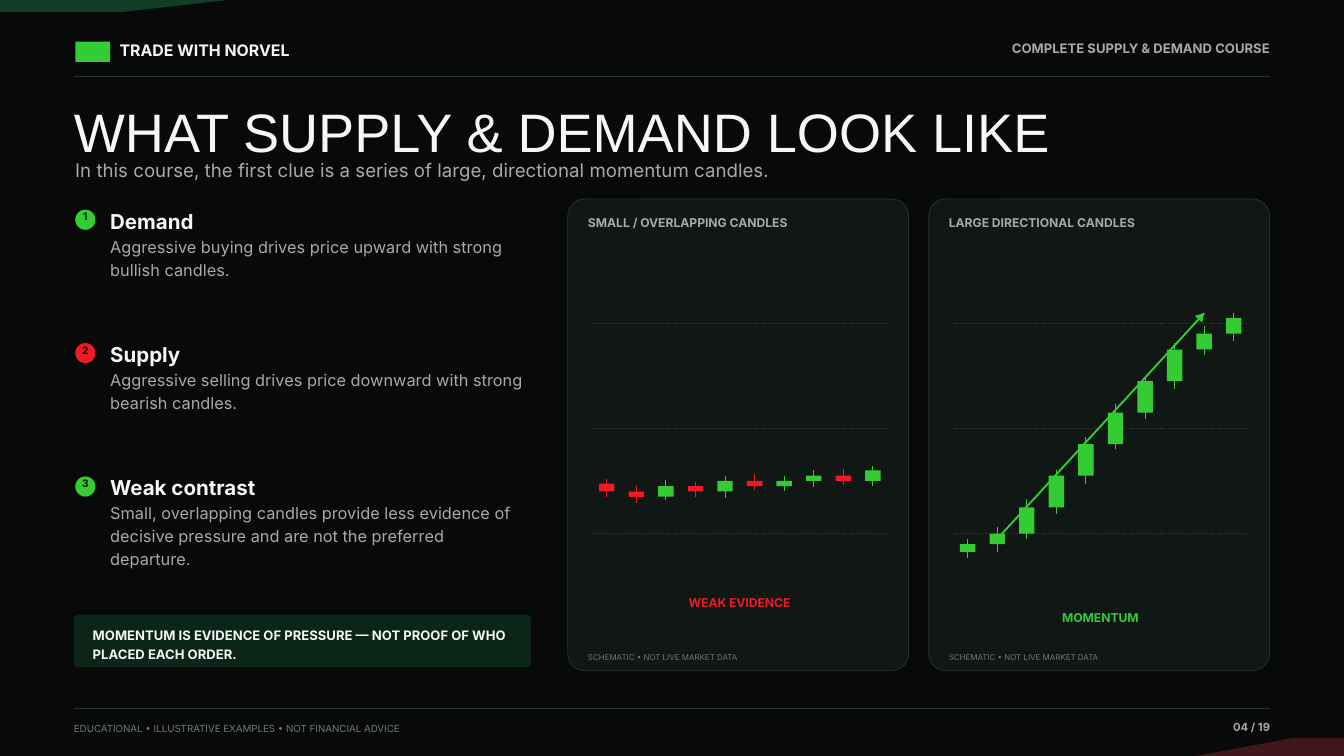
"""Builds a trading-course slide contrasting weak and momentum candles."""
from lxml import etree
from pptx import Presentation
from pptx.dml.color import RGBColor
from pptx.enum import dml, shapes, text
from pptx.oxml.ns import qn
from pptx.util import Inches, Pt

BLACK = RGBColor(0x07, 0x0A, 0x09)
WHITE = RGBColor(0xF5, 0xF7, 0xF6)
GREY = RGBColor(0xA6, 0xAA, 0xA8)
DIM = RGBColor(0x6F, 0x78, 0x73)
RULE = RGBColor(0x28, 0x33, 0x2E)
CARD = RGBColor(0x11, 0x17, 0x15)
GREEN = RGBColor(0x33, 0xCC, 0x33)
RED = RGBColor(0xED, 0x1C, 0x24)
CALLOUT = RGBColor(0x0C, 0x25, 0x19)
GREEN_EDGE = RGBColor(0x12, 0x3D, 0x26)
RED_EDGE = RGBColor(0x42, 0x17, 0x1B)

RECT = shapes.MSO_SHAPE.RECTANGLE
ROUND = shapes.MSO_SHAPE.ROUNDED_RECTANGLE
OVAL = shapes.MSO_SHAPE.OVAL
LEFT, CENTER, RIGHT = text.PP_ALIGN.LEFT, text.PP_ALIGN.CENTER, text.PP_ALIGN.RIGHT

BASE_Y = 7.94
GRID_GAP = 1.565
PRICE_UNIT = GRID_GAP / 20
CANDLE_GAP = 0.44
CANDLE_W = 0.23

ITEMS = [
    ("Demand", GREEN, ["Aggressive buying drives price upward with strong",
                       "bullish candles."]),
    ("Supply", RED, ["Aggressive selling drives price downward with strong",
                     "bearish candles."]),
    ("Weak contrast", GREEN, ["Small, overlapping candles provide less evidence of",
                              "decisive pressure and are not the preferred",
                              "departure."]),
]

# Each candle is (close, high, low); it opens at the previous close.
WEAK = [(8, 10.4, 7), (7, 9.1, 5.9), (9, 10.2, 6.3), (8, 9.8, 7), (10, 11, 6.8),
        (9, 11.3, 8.2), (10, 10.9, 8.1), (11, 12, 8.8), (10, 12.3, 9.2),
        (12, 12.8, 9.1)]
STRONG = [(-2, -1, -4.7), (0, 1.3, -3.5), (5, 6.5, -1), (11, 12, 3.8),
          (17, 18.3, 9.5), (23, 24.6, 16), (29, 30, 21.7), (35, 36.2, 27.5),
          (38, 39.5, 34), (41, 42, 36.7)]


def add_block(s, kind, x, y, w, h, fill, radius=None, line=None):
    """Add a filled preset shape."""
    sp = s.shapes.add_shape(kind, Inches(x), Inches(y), Inches(w), Inches(h))
    sp.shadow.inherit = False
    sp.fill.solid()
    sp.fill.fore_color.rgb = fill
    if radius is not None:
        sp.adjustments[0] = radius
    if line is None:
        sp.line.fill.background()
    else:
        sp.line.color.rgb = line
        sp.line.width = Pt(0.8)


def add_polygon(s, points, fill):
    """Add a closed filled outline."""
    pts = [(Inches(x), Inches(y)) for x, y in points]
    builder = s.shapes.build_freeform(*pts[0])
    builder.add_line_segments(pts[1:], close=True)
    sp = builder.convert_to_shape()
    sp.shadow.inherit = False
    sp.fill.solid()
    sp.fill.fore_color.rgb = fill
    sp.line.fill.background()


def add_line(s, x1, y1, x2, y2, color, width, dashed=False):
    """Add a straight line without a shadow."""
    cn = s.shapes.add_connector(shapes.MSO_CONNECTOR.STRAIGHT,
                                Inches(x1), Inches(y1), Inches(x2), Inches(y2))
    cn.line.color.rgb = color
    cn.line.width = Pt(width)
    if dashed:
        cn.line.dash_style = dml.MSO_LINE.DASH
    etree.SubElement(cn._element.spPr, qn("a:effectLst"))


def add_text(s, x, y, w, h, lines, size, color, bold=False, align=LEFT,
             font="Inter", spacing=1.18):
    """Add a text box with one paragraph per line."""
    tf = s.shapes.add_textbox(Inches(x), Inches(y), Inches(w), Inches(h)).text_frame
    tf.word_wrap = True
    tf.margin_left = tf.margin_top = tf.margin_right = tf.margin_bottom = 0
    for i, line in enumerate(lines):
        p = tf.add_paragraph() if i else tf.paragraphs[0]
        p.alignment = align
        p.line_spacing = spacing
        r = p.add_run()
        r.text = line
        r.font.name = font
        r.font.size = Pt(size)
        r.font.bold = bold
        r.font.color.rgb = color


def add_item(s, number, y, title, color, lines):
    """Add a numbered point with its heading and explanation."""
    add_block(s, OVAL, 1.12, y + 0.08, 0.3, 0.3, color)
    add_text(s, 1.14, y + 0.06, 0.26, 0.23, [str(number)], 11, BLACK, True, CENTER)
    add_text(s, 1.64, y, 6.23, 0.36, [title], 22, WHITE, True)
    add_text(s, 1.64, y + 0.43, 6.23, 1.5, lines, 17.5, GREY)


def price_y(price):
    """Return the height on the slide of a price."""
    return BASE_Y - price * PRICE_UNIT


def add_candles(s, x, start, candles):
    """Add a run of candles, the first centred on x."""
    opening = start
    for i, (close, high, low) in enumerate(candles):
        cx = x + i * CANDLE_GAP
        color = GREEN if close > opening else RED
        add_line(s, cx, price_y(high), cx, price_y(low), color, 1.15)
        add_block(s, RECT, cx - CANDLE_W / 2, price_y(max(opening, close)),
                  CANDLE_W, abs(close - opening) * PRICE_UNIT, color)
        opening = close


def add_panel(s, x, title, start, candles, label, label_y, color):
    """Add a chart card with grid, candles and verdict."""
    add_block(s, ROUND, x, 2.96, 5.07, 7.02, CARD, 0.05, RULE)
    add_text(s, x + 0.3, 3.16, 4.47, 0.28, [title], 13, GREY, True)
    for i in range(3):
        y = BASE_Y - i * GRID_GAP
        add_line(s, x + 0.36, y, x + 4.76, y, RULE, 0.55, True)
    add_text(s, x + 0.3, 9.68, 4.47, 0.18, ["SCHEMATIC • NOT LIVE MARKET DATA"], 8.5, DIM)
    add_candles(s, x + 0.58, start, candles)
    add_text(s, x + 0.42, label_y, 4.27, 0.3, [label], 13, color, True, CENTER)


def add_frame(s):
    """Add the backdrop, header and footer."""
    add_block(s, RECT, 0, 0, 20, 11.25, BLACK)
    add_polygon(s, [(0, 0), (3.4, 0), (1.8, 0.18), (0, 0.18)], GREEN_EDGE)
    add_polygon(s, [(20, 11.25), (17.8, 11.25), (19.25, 10.98), (20, 10.98)], RED_EDGE)
    add_block(s, RECT, 1.12, 0.62, 0.52, 0.3, GREEN)
    add_text(s, 1.78, 0.56, 3.9, 0.34, ["TRADE WITH NORVEL"], 17, WHITE, True)
    add_text(s, 14, 0.56, 4.9, 0.32, ["COMPLETE SUPPLY & DEMAND COURSE"], 14, GREY,
             True, RIGHT)
    for y in (1.13, 10.54):
        add_line(s, 1.1, y, 18.9, y, RULE, 0.8)
    add_text(s, 1.1, 10.72, 8, 0.25,
             ["EDUCATIONAL • ILLUSTRATIVE EXAMPLES • NOT FINANCIAL ADVICE"], 10.5, DIM)
    add_text(s, 17.2, 10.68, 1.7, 0.28, ["04 / 19"], 12, GREY, True, RIGHT)


def main():
    """Build and save the slide."""
    prs = Presentation()
    prs.slide_width, prs.slide_height = Inches(20), Inches(11.25)
    s = prs.slides.add_slide(prs.slide_layouts[6])
    add_frame(s)
    add_text(s, 1.1, 1.46, 17.8, 0.88, ["WHAT SUPPLY & DEMAND LOOK LIKE"], 58, WHITE,
             font="Arial", spacing=1.0)
    add_text(s, 1.12, 2.3, 17.2, 0.43,
             ["In this course, the first clue is a series of large, "
              "directional momentum candles."], 20, GREY)
    for i, (title, color, lines) in enumerate(ITEMS):
        add_item(s, i + 1, 3.04 + i * 1.985, title, color, lines)
    add_block(s, ROUND, 1.1, 9.15, 6.8, 0.78, CALLOUT, 0.08)
    add_text(s, 1.38, 9.3, 6.25, 0.42,
             ["MOMENTUM IS EVIDENCE OF PRESSURE — NOT PROOF OF WHO",
              "PLACED EACH ORDER."], 14, WHITE, True)
    add_panel(s, 8.45, "SMALL / OVERLAPPING CANDLES", 9.5, WEAK,
              "WEAK EVIDENCE", 8.82, RED)
    add_panel(s, 13.82, "LARGE DIRECTIONAL CANDLES", -3.5, STRONG,
              "MOMENTUM", 9.05, GREEN)
    add_line(s, 14.84, 8.02, 17.92, 4.66, GREEN, 2)
    add_polygon(s, [(17.92, 4.66), (17.78, 4.7), (17.89, 4.8)], GREEN)
    prs.save("out.pptx")


if __name__ == "__main__":
    main()
